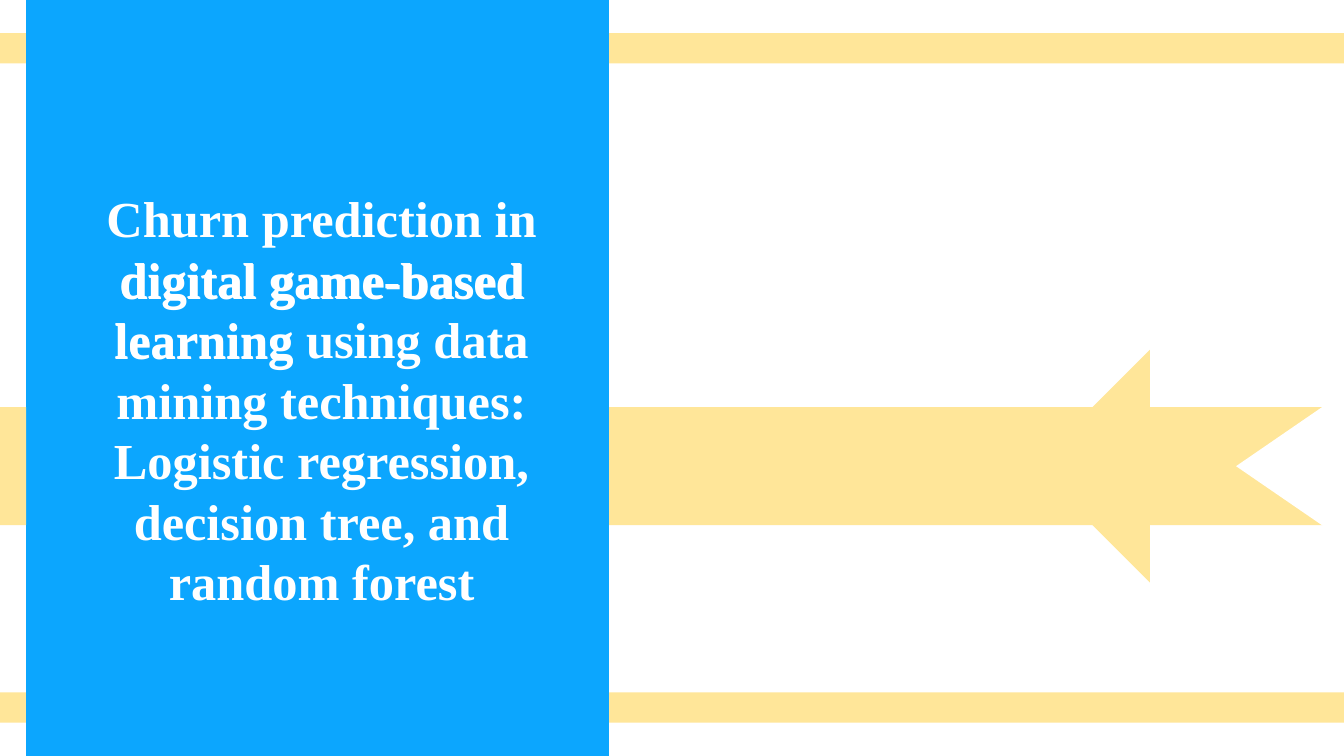
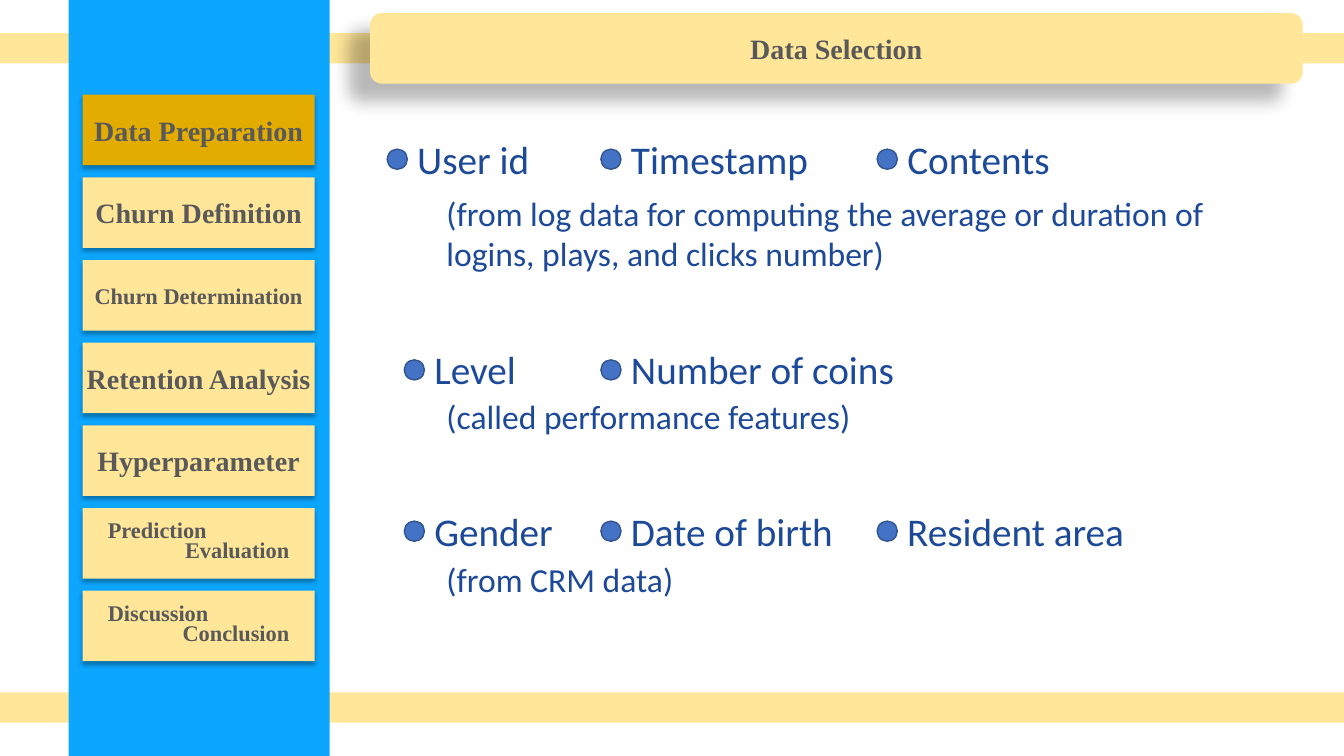
"""Build two slides on churn prediction in digital game-based learning."""
from dataclasses import dataclass
from typing import Any, NamedTuple

import lxml.etree
import pptx
import pptx.dml.color
import pptx.enum.shapes
import pptx.enum.text
import pptx.oxml.ns
import pptx.util

Inches = pptx.util.Inches
Pt = pptx.util.Pt
Kind = pptx.enum.shapes.MSO_SHAPE
Align = pptx.enum.text.PP_ALIGN
Anchor = pptx.enum.text.MSO_ANCHOR
qn = pptx.oxml.ns.qn


@dataclass(frozen=True)
class Theme:
    sand: str = "FFE699"
    gold: str = "E2AC00"
    blue: str = "0CA6FE"
    white: str = "FFFFFF"
    grey: str = "595959"
    navy: str = "1D4999"
    dot: str = "4472C4"
    rim: str = "325491"
    serif: str = "Times New Roman"
    sans: str = "Calibri"
    cover: int = 36
    head: int = 20
    small: int = 16
    point: int = 28
    note: int = 24


THEME = Theme()


class Box(NamedTuple):
    left: float
    top: float
    width: float
    height: float


class Font(NamedTuple):
    name: str
    size: int
    color: str
    bold: bool = False


class Shade(NamedTuple):
    alpha: int
    blur: float
    shift: float
    angle: int


class Word(NamedTuple):
    text: str
    box: Box


class Tab(NamedTuple):
    lines: tuple[str, ...]
    size: int = THEME.head
    fill: str = THEME.sand


class Point(NamedTuple):
    text: str
    left: float
    width: float


class Group(NamedTuple):
    top: float
    points: tuple[Point, ...]
    note: str
    spot: Box


COVER = Font(THEME.serif, THEME.cover, THEME.white, True)
HEAD = Font(THEME.serif, THEME.head, THEME.grey, True)
POINT = Font(THEME.sans, THEME.point, THEME.navy)
NOTE = Font(THEME.sans, THEME.note, THEME.navy)
SOFT = Shade(32, 3.5, 2.2, 90)
DEEP = Shade(28, 11.8, 19.7, 141)

WORDS = (
    Word("digital", Box(1.08, 2.42, 1.58, 0.71)),
    Word("game-based", Box(2.56, 2.42, 2.77, 0.71)),
    Word("learning", Box(1.02, 3.02, 2.01, 0.71)),
)
TABS = (
    Tab(("Data Preparation",), fill=THEME.gold),
    Tab(("Churn Definition",)),
    Tab(("Churn Determination",), THEME.small),
    Tab(("Retention Analysis",)),
    Tab(("Hyperparameter",)),
    Tab(("Prediction", "Evaluation"), THEME.small),
    Tab(("Discussion", "Conclusion"), THEME.small),
)
GROUPS = (
    Group(
        1.29,
        (Point("User id", 3.84, 1.34), Point("Timestamp", 5.96, 1.96),
         Point("Contents", 8.7, 1.65)),
        "(from log data for computing the average or duration of "
        "logins, plays, and clicks number)",
        Box(4.33, 1.86, 8.58, 0.91),
    ),
    Group(
        3.38,
        (Point("Level", 4.01, 1.34), Point("Number of coins", 5.96, 2.99)),
        "(called performance features)",
        Box(4.33, 3.88, 8.58, 0.5),
    ),
    Group(
        4.98,
        (Point("Gender", 4.01, 1.44), Point("Date of birth", 5.96, 2.27),
         Point("Resident area", 8.7, 2.43)),
        "(from CRM data)",
        Box(4.33, 5.5, 8.58, 0.5),
    ),
)


def rgb(code: str) -> pptx.dml.color.RGBColor:
    return pptx.dml.color.RGBColor.from_string(code)


def place(box: Box) -> tuple[int, ...]:
    return tuple(Inches(size) for size in box)


def write(para: Any, text: str, font: Font, align: Any = Align.LEFT) -> None:
    para.alignment = align
    run = para.add_run()
    run.text = text
    run.font.name, run.font.size, run.font.bold = font.name, Pt(font.size), font.bold
    run.font.color.rgb = rgb(font.color)


def draw(shapes: Any, kind: Any, box: Box, fill: str, rim: str = "") -> Any:
    shape = shapes.add_shape(kind, *place(box))
    shape.shadow.inherit = False
    shape.fill.solid()
    shape.fill.fore_color.rgb = rgb(fill)
    if rim:
        shape.line.color.rgb = rgb(rim)
        shape.line.width = Pt(1)
    else:
        shape.line.fill.background()
    return shape


def shade(shape: Any, look: Shade) -> None:
    effects = shape._element.spPr.find(qn("a:effectLst"))
    outer = lxml.etree.SubElement(
        effects, qn("a:outerShdw"), blurRad=str(int(Pt(look.blur))),
        dist=str(int(Pt(look.shift))), dir=str(look.angle * 60000),
        algn="ctr", rotWithShape="0")
    color = lxml.etree.SubElement(outer, qn("a:srgbClr"), val="000000")
    lxml.etree.SubElement(color, qn("a:alpha"), val=str(look.alpha * 1000))


def label(shapes: Any, text: str, box: Box, font: Font,
          align: Any = Align.LEFT, wrap: bool = True) -> None:
    frame = shapes.add_textbox(*place(box)).text_frame
    frame.word_wrap = wrap
    write(frame.paragraphs[0], text, font, align)


def title(slide: Any, text: str, box: Box, font: Font, anchor: Any) -> None:
    shape = slide.shapes.title
    shape.left, shape.top, shape.width, shape.height = place(box)
    slide.shapes._spTree.append(shape._element)
    frame = shape.text_frame
    frame.auto_size = pptx.enum.text.MSO_AUTO_SIZE.NONE
    frame.word_wrap = True
    frame.vertical_anchor = anchor
    para = frame.paragraphs[0]
    para.line_spacing, para.space_before = 1.0, Pt(0)
    write(para, text, font, Align.CENTER)


def start(deck: Any, panel: Box) -> Any:
    slide = deck.slides.add_slide(deck.slide_layouts[5])
    for top in (0.33, 6.87):
        draw(slide.shapes, Kind.RECTANGLE, Box(0, top, 13.33, 0.3), THEME.sand)
    draw(slide.shapes, Kind.RECTANGLE, panel, THEME.blue)
    return slide


def menu(shapes: Any) -> None:
    for row, tab in enumerate(TABS):
        box = Box(0.82, 0.94 + 0.82 * row, 2.3, 0.7)
        shape = draw(shapes, Kind.RECTANGLE, box, tab.fill)
        shade(shape, SOFT)
        split = len(tab.lines) > 1
        frame = shape.text_frame
        frame.word_wrap = split
        frame.vertical_anchor = Anchor.MIDDLE
        frame.margin_left = frame.margin_right = Inches(0.25 if split else 0)
        sides = (Align.LEFT, Align.RIGHT) if split else (Align.CENTER,)
        for place_no, (line, side) in enumerate(zip(tab.lines, sides)):
            para = frame.add_paragraph() if place_no else frame.paragraphs[0]
            if split:
                para.line_spacing = Pt(14.4)
            write(para, line, HEAD._replace(size=tab.size), side)


def points(shapes: Any, group: Group) -> None:
    for point in group.points:
        pair = shapes.add_group_shape().shapes
        dot = Box(point.left, group.top + 0.19, 0.2, 0.2)
        draw(pair, Kind.OVAL, dot, THEME.dot, THEME.rim)
        spot = Box(point.left + 0.2, group.top, point.width, 0.57)
        label(pair, point.text, spot, POINT, wrap=False)
    label(shapes, group.note, group.spot, NOTE)


def cover(deck: Any) -> None:
    panel = Box(0.26, 0, 5.78, 7.5)
    slide = start(deck, panel)
    shapes = slide.shapes
    for left, width in ((0, panel.left), (6.04, 7.29)):
        draw(shapes, Kind.RECTANGLE, Box(left, 4.04, width, 1.17), THEME.sand)
    draw(shapes, Kind.LEFT_ARROW, Box(10.25, 3.47, 3.08, 2.31), THEME.sand)
    notch = draw(shapes, Kind.ISOSCELES_TRIANGLE,
                 Box(12.06, 4.09, 1.47, 1.07), THEME.white)
    notch.rotation = 270
    title(slide, "Churn prediction in digital game-based learning using data "
          "mining techniques: Logistic regression, decision tree, and "
          "random forest", Box(0.79, 1.81, 4.8, 4.34), COVER, Anchor.TOP)
    for word in WORDS:
        label(shapes, word.text, word.box, COVER, Align.CENTER)


def choice(deck: Any) -> None:
    slide = start(deck, Box(0.68, 0, 2.59, 7.5))
    menu(slide.shapes)
    bar = Box(3.67, 0.13, 9.25, 0.7)
    shade(draw(slide.shapes, Kind.ROUNDED_RECTANGLE, bar, THEME.sand), DEEP)
    title(slide, "Data Selection", bar, HEAD, Anchor.MIDDLE)
    for group in GROUPS:
        points(slide.shapes, group)


def main() -> None:
    deck = pptx.Presentation()
    deck.slide_width, deck.slide_height = Inches(13.33), Inches(7.5)
    cover(deck)
    choice(deck)
    deck.save("out.pptx")


if __name__ == "__main__":
    main()
